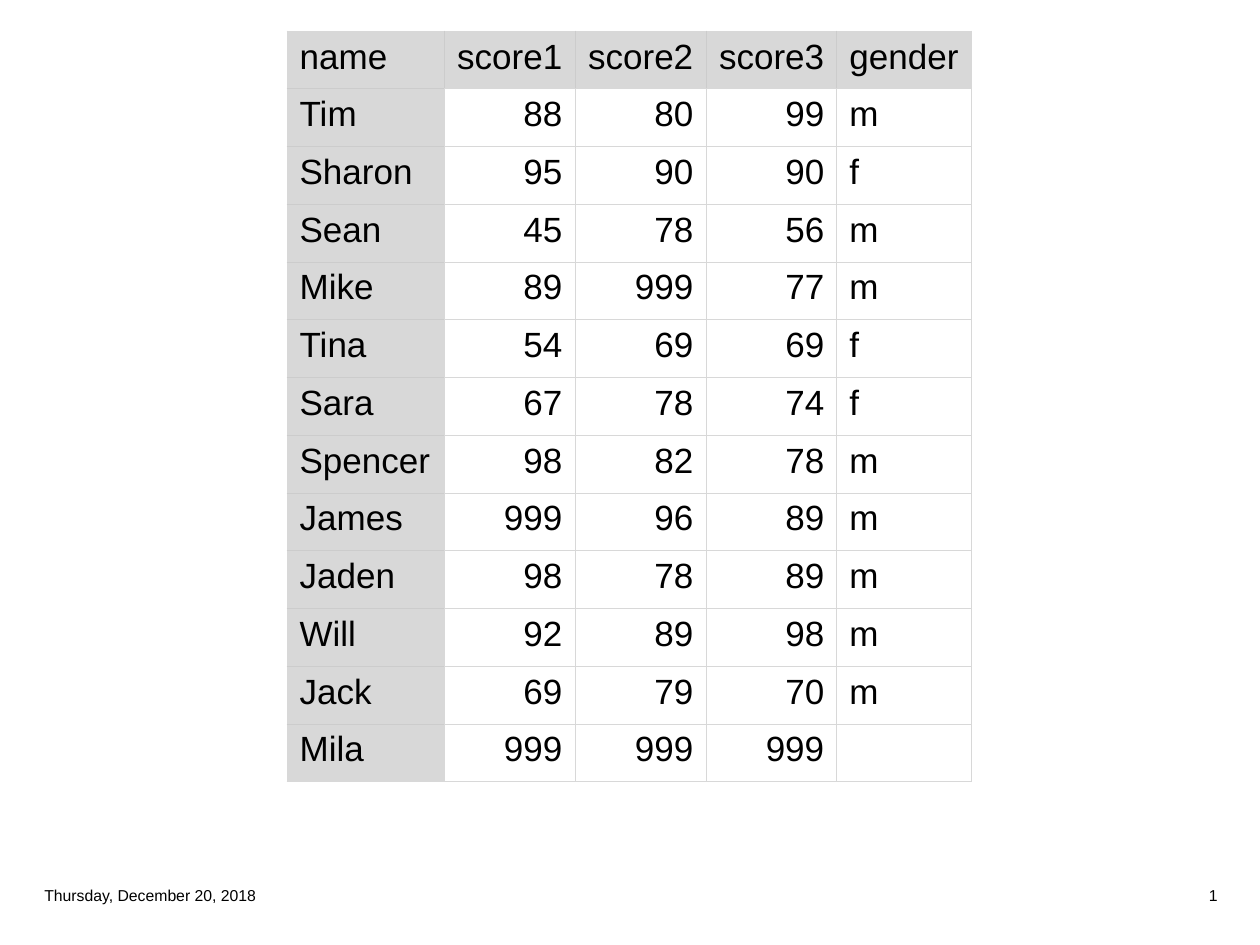
from dataclasses import dataclass

from lxml import etree
from pptx import Presentation
from pptx.dml.color import RGBColor
from pptx.enum.text import MSO_ANCHOR, PP_ALIGN
from pptx.oxml.ns import qn
from pptx.util import Pt

LEFT, RIGHT = PP_ALIGN.LEFT, PP_ALIGN.RIGHT
MIDDLE = MSO_ANCHOR.MIDDLE

SCORES = [
    ("name", "score1", "score2", "score3", "gender"),
    ("Tim", "88", "80", "99", "m"),
    ("Sharon", "95", "90", "90", "f"),
    ("Sean", "45", "78", "56", "m"),
    ("Mike", "89", "999", "77", "m"),
    ("Tina", "54", "69", "69", "f"),
    ("Sara", "67", "78", "74", "f"),
    ("Spencer", "98", "82", "78", "m"),
    ("James", "999", "96", "89", "m"),
    ("Jaden", "98", "78", "89", "m"),
    ("Will", "92", "89", "98", "m"),
    ("Jack", "69", "79", "70", "m"),
    ("Mila", "999", "999", "999", ""),
]
COLUMN_ALIGNS = [LEFT, RIGHT, RIGHT, RIGHT, LEFT]
COLUMN_WIDTHS = [157, 131, 131, 131, 135]
TABLE_LEFT, TABLE_TOP, TABLE_HEIGHT = 287, 31, 751

FOOTER_TOP, FOOTER_WIDTH, FOOTER_HEIGHT = 878, 300, 35
FOOTERS = [(32, "Thursday, December 20, 2018", LEFT), (930, "1", RIGHT)]


@dataclass(frozen=True)
class Theme:
    font: str = "Arial"
    ink: str = "000000"
    shade: str = "D8D8D8"
    grid: str = "D8D8D8"
    shaded_grid: str = "CCCCCC"
    table_size: int = 20
    footer_size: int = 9
    border: float = 0.5


THEME = Theme()
EMU_PER_PX = 914400 / 126


def px(length):
    return round(length * EMU_PER_PX)


def write(text_frame, text, size, align):
    text_frame.text = text
    para = text_frame.paragraphs[0]
    para.alignment = align
    for span in para.runs:
        span.font.name = THEME.font
        span.font.size = Pt(size)
        span.font.color.rgb = RGBColor.from_string(THEME.ink)


def set_borders(cell, colors):
    """Draw the left, right, top and bottom borders, in that order."""
    properties = cell._tc.get_or_add_tcPr()
    for side, color in zip("LRTB", colors):
        line = etree.SubElement(properties, qn(f"a:ln{side}"), w=str(Pt(THEME.border)))
        fill = etree.SubElement(line, qn("a:solidFill"))
        etree.SubElement(fill, qn("a:srgbClr"), val=color)


def add_score_table(page):
    row_count, column_count = len(SCORES), len(COLUMN_WIDTHS)
    table = page.shapes.add_table(
        row_count, column_count, px(TABLE_LEFT), px(TABLE_TOP),
        px(sum(COLUMN_WIDTHS)), px(TABLE_HEIGHT),
    ).table
    table.first_row = table.horz_banding = False
    for column, width in zip(table.columns, COLUMN_WIDTHS):
        column.width = px(width)

    for r, record in enumerate(SCORES):
        table.rows[r].height = px(TABLE_HEIGHT / row_count)
        for c, text in enumerate(record):
            cell = table.cell(r, c)
            shaded = r == 0 or c == 0
            outer_sides = (c == 0, c == column_count - 1, r == 0, r == row_count - 1)
            set_borders(cell, [
                THEME.shaded_grid if shaded and not outer else THEME.grid
                for outer in outer_sides
            ])
            if shaded:
                cell.fill.solid()
                cell.fill.fore_color.rgb = RGBColor.from_string(THEME.shade)
            else:
                cell.fill.background()
            write(cell.text_frame, text, THEME.table_size, COLUMN_ALIGNS[c])


def add_footers(page):
    for left, text, align in FOOTERS:
        box = page.shapes.add_textbox(
            px(left), px(FOOTER_TOP), px(FOOTER_WIDTH), px(FOOTER_HEIGHT))
        box.text_frame.word_wrap = True
        box.text_frame.vertical_anchor = MIDDLE
        write(box.text_frame, text, THEME.footer_size, align)


def main():
    deck = Presentation()
    deck.slide_width, deck.slide_height = px(1260), px(945)
    page = deck.slides.add_slide(deck.slide_layouts[6])
    add_score_table(page)
    add_footers(page)
    deck.save("out.pptx")


if __name__ == "__main__":
    main()
